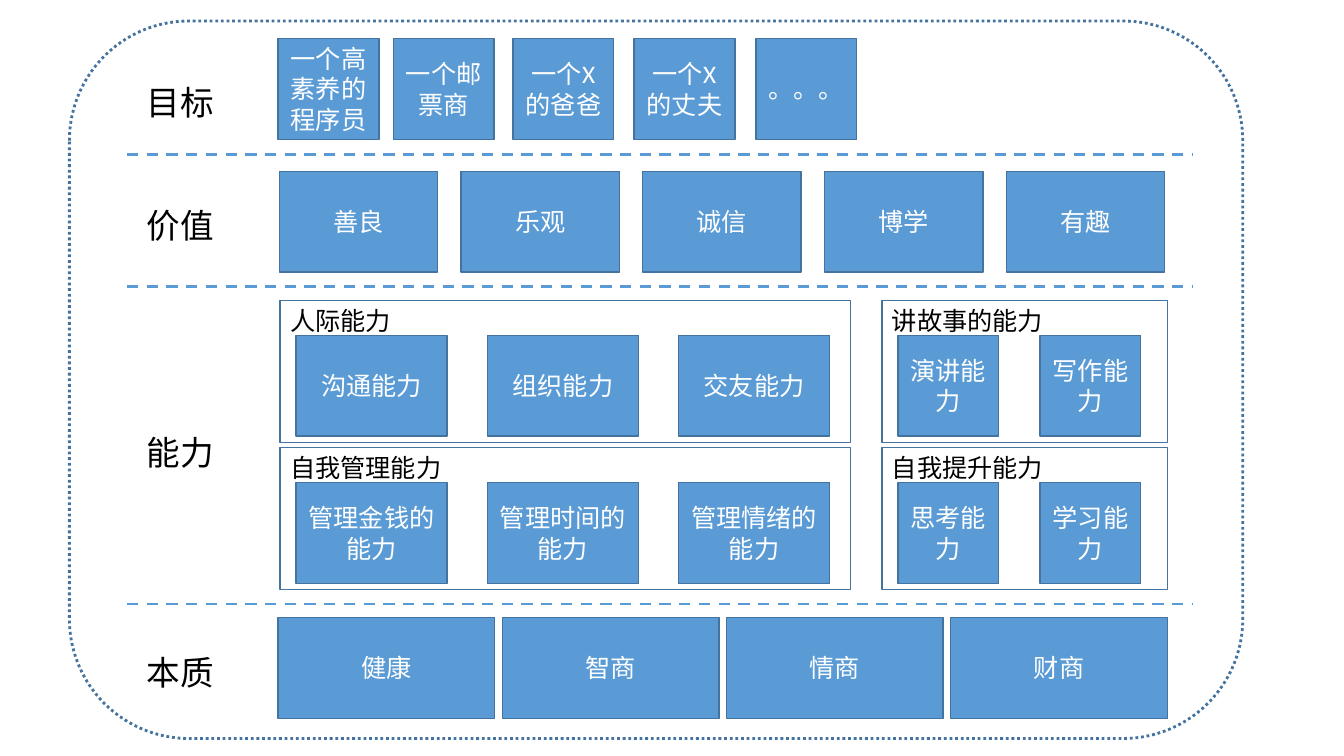
import pptx
import pptx.dml.color
import pptx.enum.dml
import pptx.enum.shapes
import pptx.enum.text
import pptx.oxml
import pptx.util

Cm = pptx.util.Cm
Shape = pptx.enum.shapes.MSO_SHAPE
Dash = pptx.enum.dml.MSO_LINE
Align = pptx.enum.text.PP_ALIGN
Anchor = pptx.enum.text.MSO_ANCHOR
AutoSize = pptx.enum.text.MSO_AUTO_SIZE

# Content, lengths in cm
BLUE, EDGE, WHITE, BLACK = "5B9BD5", "43739E", "FFFFFF", "000000"
BOX_HEIGHT = 2.54
LAYERS = [("目标", 1.93), ("价值", 5.05), ("能力", 10.77), ("本质", 16.31)]
DIVIDERS = [3.89, 7.22, 15.22]
GOALS = [("一个高素养的程序员", 7.01), ("一个邮票商", 9.91), ("一个X的爸爸", 12.93),
         ("一个X的丈夫", 15.98), ("。。。", 19.05)]
# Even rows: left, top, box width, pitch, words
ROWS = [
    (7.04, 4.32, 3.99, 4.58, ["善良", "乐观", "诚信", "博学", "有趣"]),
    (7.01, 15.56, 5.46, 5.65, ["健康", "智商", "情商", "财商"]),
]
# Ability frames: grid column, grid row, title, words
ABILITIES = [
    (0, 0, "人际能力", ["沟通能力", "组织能力", "交友能力"]),
    (0, 1, "自我管理能力", ["管理金钱的能力", "管理时间的能力", "管理情绪的能力"]),
    (1, 0, "讲故事的能力", ["演讲能力", "写作能力"]),
    (1, 1, "自我提升能力", ["思考能力", "学习能力"]),
]
# Ability columns: left, frame width, box width, pitch
COLUMNS = [(7.06, 14.38, 3.81, 4.82), (22.23, 7.19, 2.54, 3.58)]
FRAME_TOPS = [7.57, 11.28]
FRAME_HEIGHT = 3.58


def color(value):
    return pptx.dml.color.RGBColor.from_string(value)


def apply(target, values):
    for name, value in values.items():
        setattr(target, name, value)


def write(box, words, size, shade, align, frame_format):
    apply(box.text_frame, frame_format)
    para = box.text_frame.paragraphs[0]
    para.alignment = align
    span = para.add_run()
    span.text = words
    apply(span.font, {"size": pptx.util.Pt(size), "name": "Calibri"})
    span.font.color.rgb = color(shade)


def add_outline(shapes, kind, place, width=1):
    box = shapes.add_shape(kind, *map(Cm, place))
    box.shadow.inherit = False
    box.fill.background()
    box.line.color.rgb = color(EDGE)
    box.line.width = pptx.util.Pt(width)
    return box


def add_box(shapes, words, left, top, width):
    box = add_outline(shapes, Shape.RECTANGLE, (left, top, width, BOX_HEIGHT))
    box.fill.solid()
    box.fill.fore_color.rgb = color(BLUE)
    write(box, words, 18, WHITE, Align.CENTER,
          {"word_wrap": True, "vertical_anchor": Anchor.MIDDLE})


def add_row(shapes, left, top, width, pitch, words):
    for index, word in enumerate(words):
        add_box(shapes, word, left + index * pitch, top, width)


def add_label(shapes, words, place, size, wrap):
    label = shapes.add_textbox(*map(Cm, place))
    write(label, words, size, BLACK, Align.LEFT,
          {"word_wrap": wrap, "auto_size": AutoSize.SHAPE_TO_FIT_TEXT})


deck = pptx.Presentation()
apply(deck, {"slide_width": Cm(33.87), "slide_height": Cm(19.05)})
page = deck.slides.add_slide(deck.slide_layouts[6])

# Goals, values and essence
for goal, left in GOALS:
    add_box(page.shapes, goal, left, 0.97, 2.54)
for row in ROWS:
    add_row(page.shapes, *row)

# Framed abilities
for column, row, title, words in ABILITIES:
    left, frame_width, box_width, pitch = COLUMNS[column]
    top = FRAME_TOPS[row]
    shapes = page.shapes.add_group_shape().shapes
    add_row(shapes, left + 0.4, top + 0.88, box_width, pitch, words)
    add_outline(shapes, Shape.RECTANGLE, (left, top, frame_width, FRAME_HEIGHT))
    add_label(shapes, title, (left, top, 5.5, 1.03), 18, True)

# Dividers and layer names
for height in DIVIDERS:
    divider = page.shapes.add_connector(
        pptx.enum.shapes.MSO_CONNECTOR.STRAIGHT,
        Cm(3.2), Cm(height), Cm(30.05), Cm(height))
    divider.line.color.rgb = color(BLUE)
    apply(divider.line, {"width": pptx.util.Pt(2), "dash_style": Dash.DASH})
    properties = divider.element.spPr
    properties.append(properties.makeelement(pptx.oxml.ns.qn("a:effectLst"), {}))
for name, top in LAYERS:
    add_label(page.shapes, name, (3.45, top, 2.24, 1.28), 24, False)

# Dotted border
border = add_outline(page.shapes, Shape.ROUNDED_RECTANGLE,
                     (1.75, 0.53, 29.57, 18.08), 2)
border.line.dash_style = Dash.ROUND_DOT

deck.save("out.pptx")
